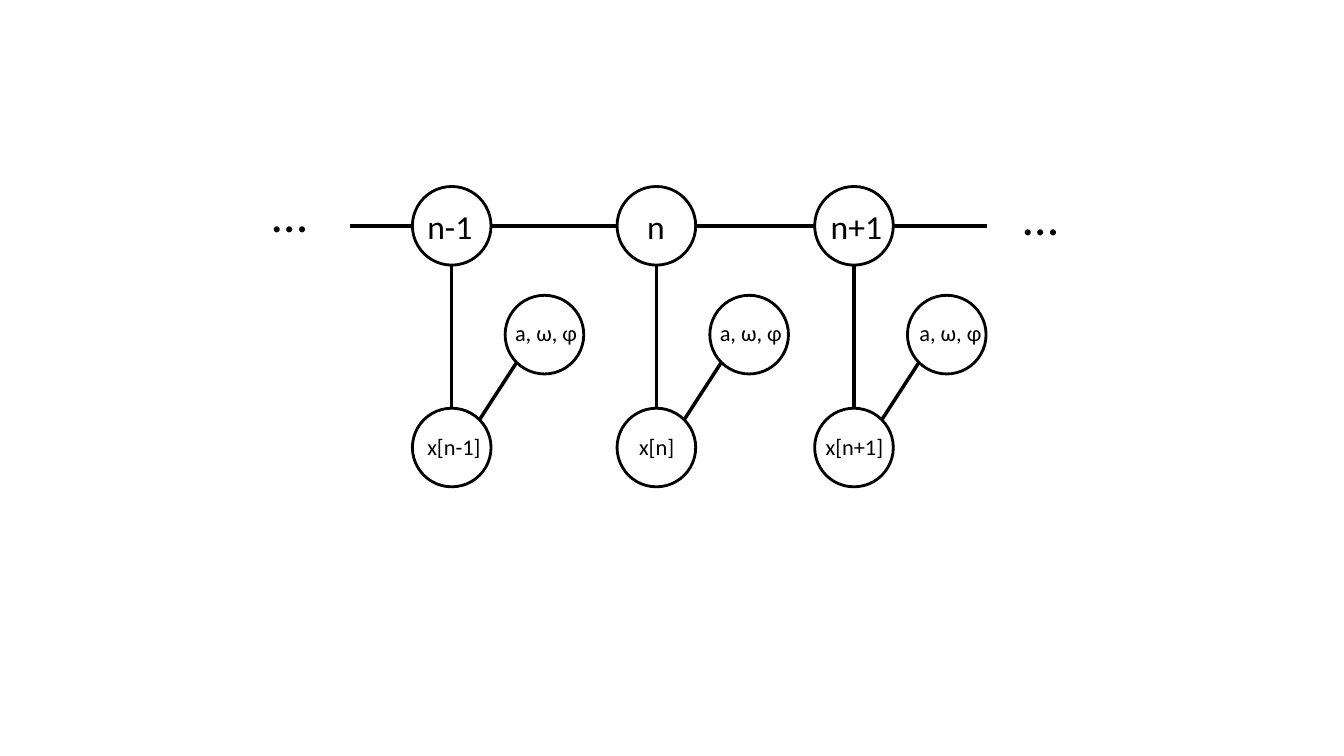
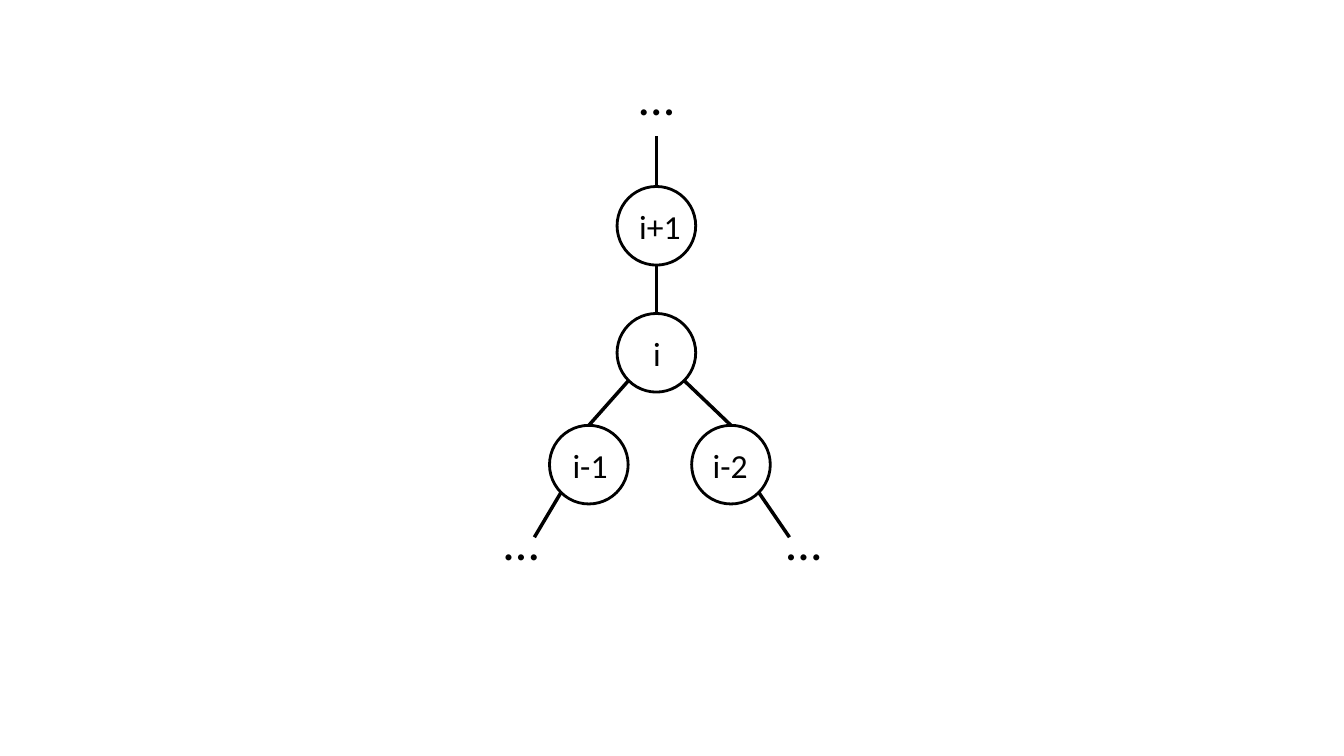
import math

from lxml import etree
from pptx import Presentation
from pptx.dml.color import RGBColor
from pptx.enum import shapes, text
from pptx.oxml import ns
from pptx.util import Inches, Pt

INK = RGBColor(0, 0, 0)
FONT = "Calibri"
DIAMETER = 0.78
NODE_SIZE, DETAIL_SIZE, DOTS_SIZE = 24, 16, 36
TOP, RIGHT, BOTTOM, LEFT = 270, 0, 90, 180
UPPER_RIGHT, LOWER_RIGHT, LOWER_LEFT, UPPER_LEFT = 315, 45, 135, 225


def add_node(slide, left, top):
    """Draw an outlined circle and return its top left corner."""
    circle = slide.shapes.add_shape(
        shapes.MSO_SHAPE.OVAL, Inches(left), Inches(top), Inches(DIAMETER), Inches(DIAMETER))
    circle.shadow.inherit = False
    circle.fill.background()
    circle.line.color.rgb = INK
    circle.line.width = Pt(2)
    return left, top


def rim(node, degrees):
    """Return the point on a node's edge at a clockwise angle from the right."""
    radius = DIAMETER / 2
    angle = math.radians(degrees)
    return (node[0] + radius * (1 + math.cos(angle)),
            node[1] + radius * (1 + math.sin(angle)))


def add_edge(slide, start, end):
    """Join two points with a straight line."""
    edge = slide.shapes.add_connector(
        shapes.MSO_CONNECTOR.STRAIGHT, *(Inches(value) for value in (*start, *end)))
    edge.line.color.rgb = INK
    edge.line.width = Pt(2.5)
    etree.SubElement(edge._element.spPr, ns.qn("a:effectLst"))


def add_label(slide, words, left, top, width, size, wrap=False):
    """Write one line of text in a box sized for its type."""
    height = {NODE_SIZE: 0.5, DETAIL_SIZE: 0.37, DOTS_SIZE: 0.71}[size]
    label = slide.shapes.add_textbox(Inches(left), Inches(top), Inches(width), Inches(height))
    frame = label.text_frame
    frame.word_wrap = wrap
    frame.auto_size = text.MSO_AUTO_SIZE.SHAPE_TO_FIT_TEXT
    run = frame.paragraphs[0].add_run()
    run.text = words
    run.font.name = FONT
    run.font.size = Pt(size)
    run.font.color.rgb = INK


def add_dots(slide, left, top):
    """Mark where the graph carries on."""
    add_label(slide, "…", left, top, 0.55, DOTS_SIZE)


def add_time_step(slide, left, top, step, step_box, sample_box, parameter_shift):
    """Draw a time step with its sample and parameters; return the step node."""
    state = add_node(slide, left, top)
    sample = add_node(slide, left, top + 2.2)
    parameters = add_node(slide, left + 0.92, top + 1.08)
    add_edge(slide, rim(sample, TOP), rim(state, BOTTOM))
    add_edge(slide, rim(sample, UPPER_RIGHT), rim(parameters, LOWER_LEFT))
    step_shift, step_width, step_wrap = step_box
    sample_shift, sample_width = sample_box
    add_label(slide, step, left + step_shift, top + 0.14, step_width, NODE_SIZE, step_wrap)
    add_label(slide, f"x[{step}]", left + sample_shift, top + 2.2 + 0.2, sample_width, DETAIL_SIZE)
    add_label(slide, "a, ω, φ", parameters[0] + parameter_shift, top + 1.27, 1.25,
              DETAIL_SIZE, True)
    return state


def add_chain(slide, left, top):
    """Draw the horizontal chain of time steps."""
    steps = [
        (1.49, "n-1", (0.05, 0.92, True), (0.05, 0.73), 0),
        (3.52, "n", (0.2, 0.38, False), (0.12, 0.55), 0),
        (5.48, "n+1", (0.06, 0.72, False), (0.01, 0.78), 0.02),
    ]
    states = [add_time_step(slide, left + offset, top, *parts) for offset, *parts in steps]
    for earlier, later in zip(states, states[1:]):
        add_edge(slide, rim(earlier, RIGHT), rim(later, LEFT))
    axis = top + DIAMETER / 2
    add_edge(slide, (left + 0.87, axis), rim(states[0], LEFT))
    add_edge(slide, rim(states[-1], RIGHT), (left + 7.19, axis))
    add_dots(slide, left, top - 0.09)
    add_dots(slide, left + 7.45, top - 0.06)


def add_tree(slide, left, top):
    """Draw the tree that branches below its middle node."""
    nodes = [
        ("i+1", 1.22, 1.25, 0.12, 0.62),
        ("i", 1.22, 2.51, 0.26, 0.28),
        ("i-1", 0.55, 3.62, 0.13, 0.55),
        ("i-2", 1.96, 3.62, 0.11, 0.55),
    ]
    placed = []
    for name, across, down, shift, width in nodes:
        placed.append(add_node(slide, left + across, top + down))
        add_label(slide, name, left + across + shift, top + down + 0.14, width, NODE_SIZE)
    parent, middle, left_child, right_child = placed
    trunk = rim(parent, TOP)
    add_edge(slide, trunk, (trunk[0], top + 0.75))
    add_edge(slide, rim(middle, TOP), rim(parent, BOTTOM))
    branches = [(left_child, LOWER_LEFT, 0.4), (right_child, LOWER_RIGHT, 2.93)]
    for child, side, end in branches:
        add_edge(slide, rim(middle, side), rim(child, TOP))
        add_edge(slide, rim(child, side), (left + end, top + 4.73))
    for across, down in [(1.34, 0), (0, 4.41), (2.8, 4.41)]:
        add_dots(slide, left + across, top + down)


def main():
    """Build both slides and save them."""
    deck = Presentation()
    deck.slide_width, deck.slide_height = Inches(13.33), Inches(7.5)
    blank = deck.slide_layouts[6]
    add_chain(deck.slides.add_slide(blank), 2.6, 1.85)
    add_tree(deck.slides.add_slide(blank), 4.9, 0.6)
    deck.save("out.pptx")


main()
